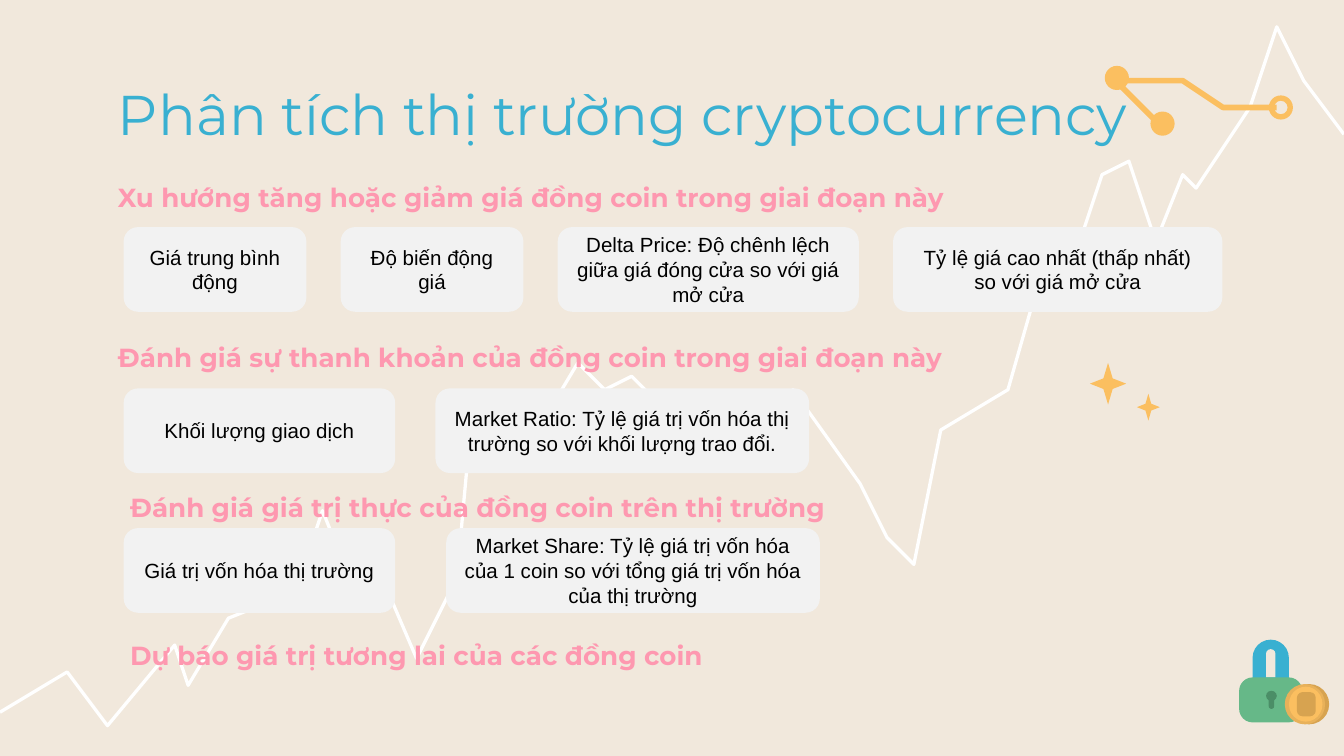
from typing import NamedTuple

from pptx import Presentation
from pptx.dml.color import RGBColor
from pptx.enum.shapes import MSO_SHAPE as Kind
from pptx.enum.text import MSO_ANCHOR, PP_ALIGN
from pptx.util import Inches, Pt

COLS, ROWS = 100, 56.25
WIDE, HIGH = Inches(10), Inches(5.625)
PAPER, WHITE, BLACK, GREY = "F1E8DC", "FFFFFF", "000000", "F2F2F2"
BLUE, PINK, GOLD = "39B0D1", "FE98B0", "FBBF60"
GREEN, MOSS, AMBER, BRONZE = "66B888", "4B8E67", "E8B15A", "D7A350"


class Area(NamedTuple):
    """A place on the grid, in columns and rows."""
    left: float
    top: float
    width: float
    height: float


class Box(NamedTuple):
    width: float
    text: str


class Group(NamedTuple):
    """A heading and the row of boxes under it."""
    left: float
    top: float
    title: str
    row: float = 0
    gap: float = 0
    boxes: tuple[Box, ...] = ()


class Part(NamedTuple):
    kind: Kind
    area: Area
    color: str
    adjust: float | None = None


GROUPS = (
    Group(7.8, 12.5, "Xu hướng tăng hoặc giảm giá đồng coin trong giai đoạn này", 16.9, 2.55, (
        Box(13.6, "Giá trung bình động"),
        Box(13.6, "Độ biến động giá"),
        Box(22.4, "Delta Price: Độ chênh lệch giữa giá đóng cửa so với giá mở cửa"),
        Box(24.5, "Tỷ lệ giá cao nhất (thấp nhất) so với giá mở cửa"))),
    Group(7.8, 24.4, "Đánh giá sự thanh khoản của đồng coin trong giai đoạn này", 28.9, 3, (
        Box(20.2, "Khối lượng giao dịch"),
        Box(27.8, "Market Ratio: Tỷ lệ giá trị vốn hóa thị trường so với khối lượng trao đổi."))),
    Group(8.7, 35.6, "Đánh giá giá trị thực của đồng coin trên thị trường", 39.3, 3.8, (
        Box(20.2, "Giá trị vốn hóa thị trường"),
        Box(27.8, "Market Share: Tỷ lệ giá trị vốn hóa của 1 coin so với tổng giá trị vốn hóa "
                  "của thị trường"))),
    Group(8.7, 46.6, "Dự báo giá trị tương lai của các đồng coin"),
)

TREND = (
    (0, 53), (4.8, 49.9), (7.9, 53.5), (12.6, 48.3), (14.5, 50.6), (17.4, 46.1),
    (21.6, 43.6), (24.4, 38.2), (26.1, 43.2), (28, 42), (31.3, 49.4), (33.7, 43.2),
    (35.3, 32.5), (37.7, 30.5), (40.1, 32), (43.4, 26.6), (45.1, 29.4), (47.2, 28.3),
    (51.7, 32.7), (53.7, 31.7), (55.7, 34), (58.7, 29.4), (64, 35.7), (66, 40.3),
    (67.7, 41.5), (70.1, 32.1), (75.4, 28.6), (77, 22.2), (80.1, 18.7), (82.3, 13.2),
    (83.7, 12.2), (85.5, 17.9), (87.9, 12.7), (89.1, 14.2), (92.7, 7.8), (95.3, 2.1),
    (97.4, 5.9), (100, 9.8),
)
WIRE = ((86.05, 8.85), (83.45, 6.3), (88, 6.3), (90.85, 8), (94.7, 8))

PARTS = (
    # Circuit ends
    Part(Kind.OVAL, Area(82.2, 4.9, 1.8, 1.8), GOLD),
    Part(Kind.OVAL, Area(85.6, 8.3, 1.8, 1.8), GOLD),
    Part(Kind.DONUT, Area(94.4, 7.1, 1.8, 1.8), GOLD, 0.22),
    # Sparkles
    Part(Kind.STAR_4_POINT, Area(81.1, 27, 2.7, 3.1), GOLD, 0.18),
    Part(Kind.STAR_4_POINT, Area(84.6, 29.3, 1.7, 2), GOLD, 0.18),
    # Padlock
    Part(Kind.ROUND_2_SAME_RECTANGLE, Area(93.2, 47.6, 2.7, 3), BLUE, 0.5),
    Part(Kind.ROUND_2_SAME_RECTANGLE, Area(94.2, 48.3, 0.7, 2.1), PAPER, 0.5),
    Part(Kind.ROUNDED_RECTANGLE, Area(92.2, 50.4, 4.7, 3.35), GREEN, 0.3),
    Part(Kind.OVAL, Area(94.2, 51.4, 0.8, 0.75), MOSS),
    Part(Kind.ROUNDED_RECTANGLE, Area(94.4, 51.8, 0.4, 0.95), MOSS, 0.5),
    # Coin
    Part(Kind.OVAL, Area(95.9, 50.9, 3, 3), BRONZE),
    Part(Kind.OVAL, Area(95.6, 50.9, 3, 3), AMBER),
    Part(Kind.OVAL, Area(95.9, 51.1, 2.5, 2.6), GOLD),
    Part(Kind.ROUNDED_RECTANGLE, Area(96.5, 51.5, 1.4, 1.8), BRONZE, 0.3),
)


def paint(fill, color: str) -> None:
    fill.solid()
    fill.fore_color.rgb = RGBColor.from_string(color)


def place(area: Area) -> tuple[int, int, int, int]:
    """Turn grid columns and rows into slide lengths."""
    col, row = WIDE / COLS, HIGH / ROWS
    return (round(area.left * col), round(area.top * row),
            round(area.width * col), round(area.height * row))


def draw(slide, part: Part):
    shape = slide.shapes.add_shape(part.kind, *place(part.area))
    shape.shadow.inherit = False
    paint(shape.fill, part.color)
    shape.line.fill.background()
    if part.adjust is not None:
        shape.adjustments[0] = part.adjust
    return shape


def trace(slide, points: tuple, color: str, size: float) -> None:
    """Draw an open line through grid points."""
    pen = slide.shapes.build_freeform(*points[0], scale=(WIDE / COLS, HIGH / ROWS))
    pen.add_line_segments(points[1:], close=False)
    shape = pen.convert_to_shape()
    shape.shadow.inherit = False
    shape.fill.background()
    paint(shape.line.fill, color)
    shape.line.width = Pt(size)


def write(shape, text: str, font: str, size: float, color: str, bold: bool = False,
          align=PP_ALIGN.LEFT, anchor=MSO_ANCHOR.TOP) -> None:
    frame = shape.text_frame
    frame.word_wrap = True
    frame.vertical_anchor = anchor
    frame.margin_left = frame.margin_right = Inches(0.1)
    frame.margin_top = frame.margin_bottom = Inches(0.1)
    line = frame.paragraphs[0]
    line.text = text
    line.alignment = align
    line.font.name, line.font.size, line.font.bold = font, Pt(size), bold
    paint(line.font.fill, color)


def label(slide, area: Area, text: str, size: float, color: str, bold: bool = False) -> None:
    write(slide.shapes.add_textbox(*place(area)), text, "Montserrat", size, color, bold)


def lay(slide, group: Group) -> None:
    """Draw a heading, then its boxes from left to right."""
    label(slide, Area(group.left, group.top, 80.4, 5), group.title, 14, PINK, True)
    left = 9.2
    for box in group.boxes:
        area = Area(left, group.row, box.width, 6.3)
        shape = draw(slide, Part(Kind.ROUNDED_RECTANGLE, area, GREY, 0.17))
        write(shape, box.text, "Arial", 11, BLACK,
              align=PP_ALIGN.CENTER, anchor=MSO_ANCHOR.MIDDLE)
        left += box.width + group.gap


def main() -> None:
    deck = Presentation()
    deck.slide_width, deck.slide_height = WIDE, HIGH
    slide = deck.slides.add_slide(deck.slide_layouts[6])
    paint(slide.background.fill, PAPER)
    trace(slide, TREND, WHITE, 1.75)
    trace(slide, WIRE, GOLD, 3)
    for part in PARTS:
        draw(slide, part)
    label(slide, Area(7.8, 4.9, 84.4, 6.3), "Phân tích thị trường cryptocurrency", 30, BLUE)
    for group in GROUPS:
        lay(slide, group)
    deck.save("out.pptx")


if __name__ == "__main__":
    main()
